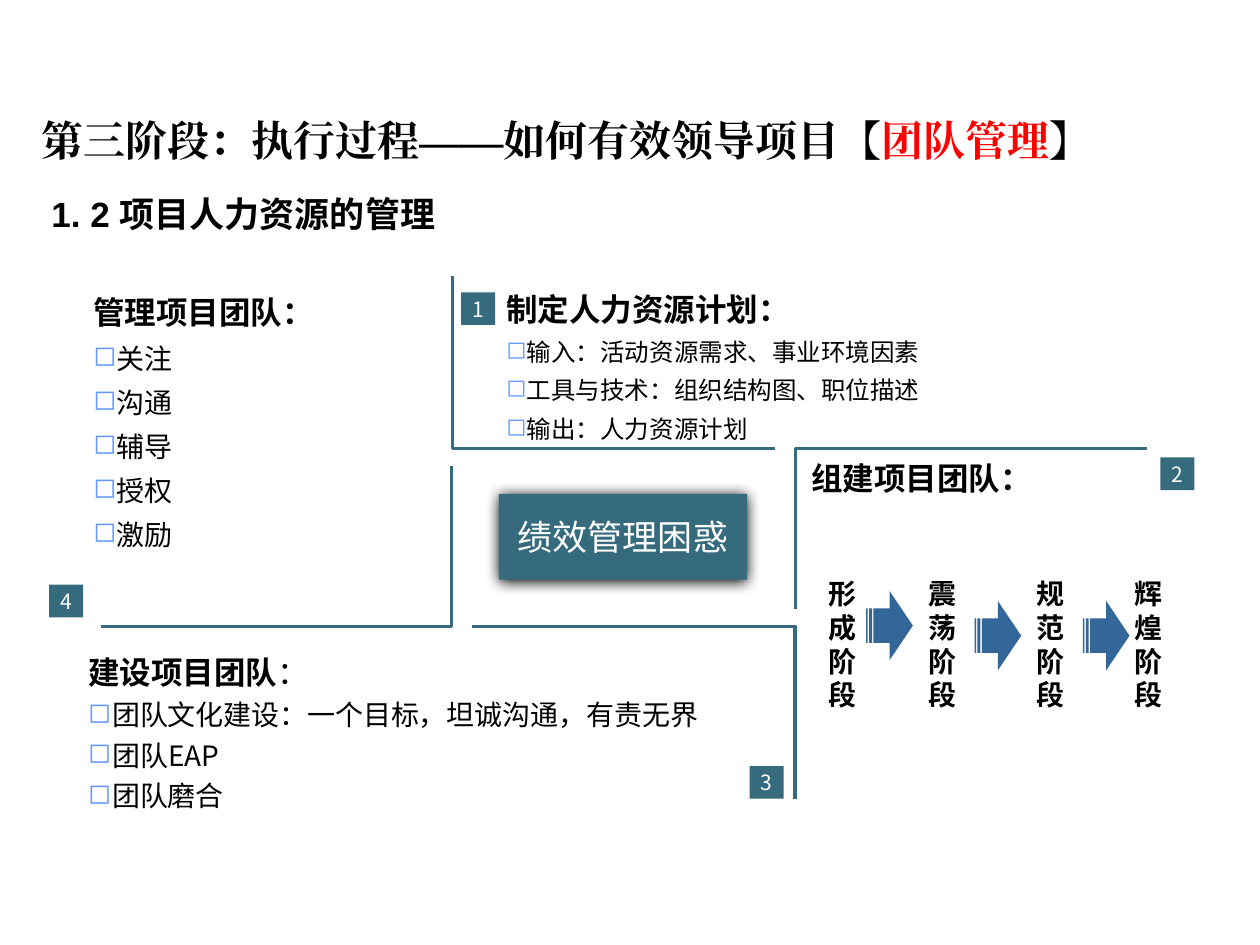
from dataclasses import dataclass

import pptx
import pptx.dml.color
import pptx.enum.shapes
import pptx.enum.text
import pptx.oxml
import pptx.oxml.ns
import pptx.util
from lxml import etree

COLS, ROWS = 100, 75
CELL = pptx.util.Inches(0.1)
ANCHOR = pptx.enum.text.MSO_ANCHOR
ALIGN = pptx.enum.text.PP_ALIGN
SHAPE = pptx.enum.shapes.MSO_SHAPE


@dataclass(frozen=True)
class Theme:
    teal: str = "366B7E"
    blue: str = "336699"
    bullet: str = "6699FF"
    red: str = "FF0000"
    black: str = "000000"
    white: str = "FFFFFF"
    sans: str = "Noto Sans CJK SC"
    serif: str = "Times New Roman"
    latin: str = "Arial"
    title: int = 24
    subtitle: int = 20
    heading: int = 18
    body: int = 16
    detail: int = 14
    badge: int = 12
    rule: float = 1.75


T = Theme()


@dataclass(frozen=True)
class Box:
    """Place and size in grid columns and rows."""
    x: float
    y: float
    w: float
    h: float

    def emu(self) -> list[int]:
        return [cells(v) for v in (self.x, self.y, self.w, self.h)]


@dataclass(frozen=True)
class Topic:
    box: Box
    heading: str
    items: tuple[str, ...] = ()
    size: int = T.body
    spacing: float = 1.0
    hang: float = 0
    light_end: str = ""


TOPICS = (
    Topic(Box(40.2, 22.5, 48.4, 12.9), "制定人力资源计划：",
          ("输入：活动资源需求、事业环境因素", "工具与技术：组织结构图、职位描述",
           "输出：人力资源计划"), T.detail, 1.1),
    Topic(Box(64.4, 36.4, 28.9, 3), "组建项目团队："),
    Topic(Box(7, 51.6, 54.1, 13.1), "建设项目团队",
          ("团队文化建设：一个目标，坦诚沟通，有责无界", "团队EAP", "团队磨合"),
          hang=1.9, light_end="："),
    Topic(Box(7.4, 22.6, 28.1, 21.5), "管理项目团队：",
          ("关注", "沟通", "辅导", "授权", "激励"), spacing=1.1),
)
BRACKETS = (
    ((35.9, 21.9), (35.9, 35.6), (61.5, 35.6)),
    ((91, 35.6), (63.1, 35.6), (63.1, 48.3)),
    ((63.1, 63.4), (63.1, 49.7), (37.5, 49.7)),
    ((8, 49.7), (35.8, 49.7), (35.8, 37)),
)
BADGES = ((36.6, 23.2), (92.1, 36.3), (59.5, 60.8), (3.9, 46.4))
STAGES = (("形成阶段", 64.8), ("震荡阶段", 72.7), ("规范阶段", 81.3), ("辉煌阶段", 89.1))
ARROWS = ((68.75, 46.9), (77.35, 47.7), (85.95, 47.7))


def cells(n: float) -> int:
    return round(n * CELL)


def rgb(color: str) -> pptx.dml.color.RGBColor:
    return pptx.dml.color.RGBColor.from_string(color)


def add_xml(parent, xml: str) -> None:
    ns = pptx.oxml.ns.nsdecls("a")
    head, rest = xml.split(" ", 1)
    parent.append(pptx.oxml.parse_xml(f"{head} {ns} {rest}"))


def style(p, size: int, font: str = T.sans, color: str = T.black, bold: bool = False) -> None:
    """Set the paragraph font for Latin and East Asian text alike."""
    f = p.font
    f.size, f.name, f.bold = pptx.util.Pt(size), font, bold
    f.color.rgb = rgb(color)
    props = p._p.pPr.find(pptx.oxml.ns.qn("a:defRPr"))
    etree.SubElement(props, pptx.oxml.ns.qn("a:ea")).set("typeface", font)


def no_insets(tf) -> None:
    tf.margin_left = tf.margin_right = tf.margin_top = tf.margin_bottom = 0
    tf.vertical_anchor = ANCHOR.MIDDLE


def add_text(s, box: Box, text: str = ""):
    tf = s.shapes.add_textbox(*box.emu()).text_frame
    tf.word_wrap = True
    if text:
        tf.paragraphs[0].add_run().text = text
    return tf


def add_solid(s, kind, box: Box, color: str):
    sp = s.shapes.add_shape(kind, *box.emu())
    sp.shadow.inherit = False
    sp.fill.solid()
    sp.fill.fore_color.rgb = rgb(color)
    sp.line.fill.background()
    return sp


def add_label(s, box: Box, text: str, size: int):
    sp = add_solid(s, SHAPE.RECTANGLE, box, T.teal)
    tf = sp.text_frame
    no_insets(tf)
    tf.word_wrap = False
    p = tf.paragraphs[0]
    p.alignment = ALIGN.CENTER
    p.add_run().text = text
    style(p, size, color=T.white)
    return sp


def add_bracket(s, points) -> None:
    start, *rest = [(cells(x), cells(y)) for x, y in points]
    builder = s.shapes.build_freeform(*start)
    builder.add_line_segments(rest, close=False)
    sp = builder.convert_to_shape()
    sp.shadow.inherit = False
    sp.fill.background()
    sp.line.color.rgb = rgb(T.teal)
    sp.line.width = pptx.util.Pt(T.rule)


def add_topic(s, topic: Topic) -> None:
    tf = add_text(s, topic.box, topic.heading)
    no_insets(tf)
    p = tf.paragraphs[0]
    p.line_spacing = topic.spacing
    style(p, T.heading, bold=True)
    if topic.light_end:
        r = p.add_run()
        r.text, r.font.bold = topic.light_end, False
    for item in topic.items:
        p = tf.add_paragraph()
        p.add_run().text = item
        pPr = p._p.get_or_add_pPr()
        pPr.set("marL", str(cells(topic.hang)))
        pPr.set("indent", str(-cells(topic.hang)))
        add_xml(pPr, '<a:spcBef ><a:spcPct val="25000"/></a:spcBef>')
        add_xml(pPr, f'<a:buClr ><a:srgbClr val="{T.bullet}"/></a:buClr>')
        add_xml(pPr, '<a:buChar char="◻"/>')
        p.line_spacing = topic.spacing
        style(p, topic.size)


def add_titles(s) -> None:
    tf = add_text(s, Box(2.3, 8.6, 94.5, 5.5), "第三阶段：执行过程——如何有效领导项目【")
    p = tf.paragraphs[0]
    r = p.add_run()
    r.text = "团队管理"
    r.font.color.rgb = rgb(T.red)
    p.add_run().text = "】"
    style(p, T.title, T.serif, bold=True)
    tf = add_text(s, Box(3.1, 14.8, 47.7, 4.4), "1. 2 项目人力资源的管理")
    style(tf.paragraphs[0], T.subtitle, T.latin, bold=True)


def add_center(s) -> None:
    sp = add_label(s, Box(39.6, 39.2, 19.7, 6.8), "绩效管理困惑", T.subtitle)
    blur, dist = pptx.util.Pt(8.5), pptx.util.Pt(1)
    effects = sp._element.spPr.find(pptx.oxml.ns.qn("a:effectLst"))
    add_xml(effects, f'<a:outerShdw blurRad="{blur}" dist="{dist}" dir="5400000" '
                     f'rotWithShape="0"><a:srgbClr val="{T.black}"/></a:outerShdw>')


def main() -> None:
    prs = pptx.Presentation()
    prs.slide_width, prs.slide_height = COLS * CELL, ROWS * CELL
    s = prs.slides.add_slide(prs.slide_layouts[6])
    add_titles(s)
    for points in BRACKETS:
        add_bracket(s, points)
    add_center(s)
    for number, (x, y) in enumerate(BADGES, 1):
        add_label(s, Box(x, y, 2.7, 2.6), str(number), T.badge)
    for topic in TOPICS:
        add_topic(s, topic)
    for name, x in STAGES:
        tf = add_text(s, Box(x, 45.3, 4.7, 11.8), name)
        style(tf.paragraphs[0], T.body, T.latin, bold=True)
    for x, y in ARROWS:
        add_solid(s, SHAPE.STRIPED_RIGHT_ARROW, Box(x, y, 3.7, 5.5), T.blue)
    prs.save("out.pptx")


if __name__ == "__main__":
    main()
